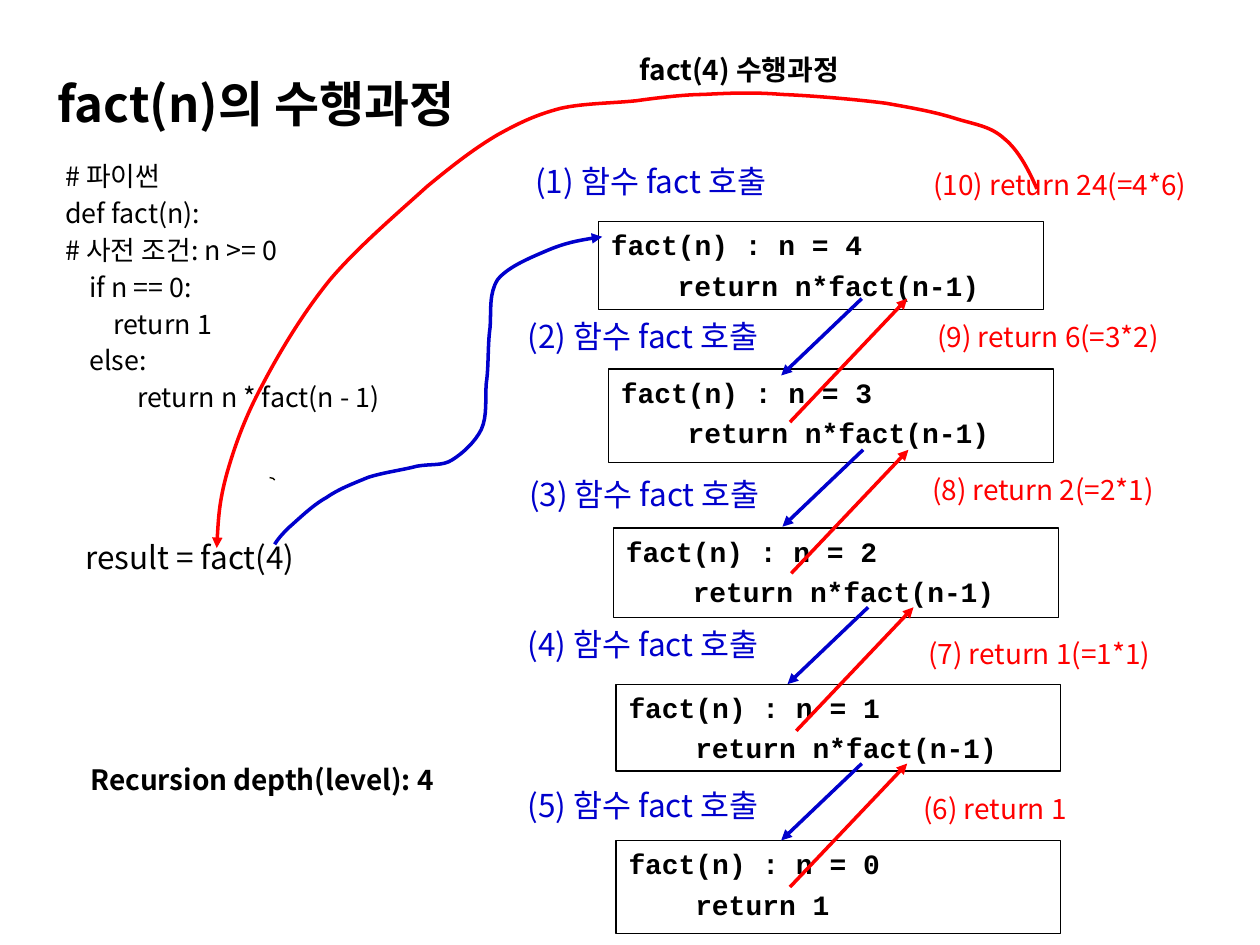
import pptx
from pptx.dml.color import RGBColor
from pptx.enum.shapes import MSO_CONNECTOR, MSO_SHAPE
from pptx.enum.text import MSO_ANCHOR, MSO_AUTO_SIZE, PP_ALIGN
from pptx.oxml.ns import qn
from pptx.util import Inches, Pt

SANS, MONO = "Noto Sans CJK KR", "Courier New"
BLACK, BLUE, RED, YELLOW = "000000", "0000CC", "FF0000", "FFCC00"

# Content: text with indent level
TITLE = "fact(n)의 수행과정"
CODE = [
    ("# 파이썬", 0), ("def fact(n):", 0), ("# 사전 조건: n >= 0", 0),
    ("if n == 0:", 1), ("return 1", 2), ("else:", 1),
    ("return n * fact(n - 1)", 3),
]
# Text, left, top, width, size, bold
NOTES = [
    ("fact(4) 수행과정", 4.98, 0.37, 2.29, 16, True),
    ("result = fact(4)", 0.58, 4.22, 2.29, 18, False),
    ("Recursion depth(level): 4", 0.62, 6, 3.18, 16, True),
]
# Left, top, height of the frame for n = 4, 3, 2, 1, 0
FRAMES = [(4.75, 1.76, 0.7), (4.83, 2.93, 0.74), (4.87, 4.19, 0.71),
          (4.89, 5.43, 0.69), (4.89, 6.67, 0.74)]
# Left, top of the call labels (1) to (5)
CALLS = [(4.15, 1.24), (4.09, 2.47), (4.1, 3.72), (4.09, 4.91), (4.09, 6.19)]
RETURNS = [
    ("(6) return 1", 7.23, 6.23), ("(7) return 1(=1*1)", 7.27, 5),
    ("(8) return 2(=2*1)", 7.3, 3.7), ("(9) return 6(=3*2)", 7.34, 2.49),
    ("(10) return 24(=4*6)", 7.31, 1.28),
]
# Where each call arrow leaves its frame
CALL_STARTS = [(6.84, 2.37), (6.85, 3.57), (6.89, 4.82), (6.84, 6.06)]

# Curves: start, then two control points and an end point per segment
FIRST_CALL = [
    (2.18, 4.32),
    (2.2, 4.29), (2.22, 4.26), (2.29, 4.19),
    (2.36, 4.13), (2.48, 4.01), (2.59, 3.95),
    (2.69, 3.88), (2.8, 3.84), (2.92, 3.79),
    (3.04, 3.75), (3.2, 3.73), (3.31, 3.7),
    (3.43, 3.68), (3.51, 3.7), (3.59, 3.65),
    (3.67, 3.6), (3.77, 3.51), (3.82, 3.41),
    (3.87, 3.3), (3.85, 3.17), (3.86, 3.04),
    (3.88, 2.91), (3.87, 2.74), (3.89, 2.6),
    (3.9, 2.46), (3.88, 2.33), (3.95, 2.22),
    (4.03, 2.12), (4.2, 2.05), (4.34, 1.99),
    (4.48, 1.93), (4.63, 1.9), (4.78, 1.88),
]
LAST_RETURN = [
    (8.23, 1.5),
    (8.16, 1.34), (8.08, 1.19), (7.97, 1.1),
    (7.86, 1), (7.74, 0.99), (7.58, 0.94),
    (7.42, 0.89), (7.26, 0.86), (7.03, 0.82),
    (6.8, 0.79), (6.45, 0.76), (6.21, 0.75),
    (5.97, 0.73), (5.77, 0.74), (5.58, 0.75),
    (5.39, 0.75), (5.05, 0.8), (5.05, 0.8),
    (4.86, 0.82), (4.63, 0.82), (4.45, 0.86),
    (4.26, 0.91), (4.13, 0.97), (3.95, 1.07),
    (3.78, 1.17), (3.62, 1.29), (3.39, 1.48),
    (3.17, 1.68), (2.84, 1.96), (2.62, 2.22),
    (2.4, 2.49), (2.21, 2.81), (2.08, 3.06),
    (1.94, 3.32), (1.86, 3.55), (1.8, 3.76),
    (1.74, 3.98), (1.73, 4.16), (1.72, 4.35),
]
SMALL_ARC = [(2.14, 3.79), (2.16, 3.79), (2.18, 3.8), (2.18, 3.81)]


def color(value):
    return RGBColor.from_string(value)


def write(shape, lines, size, ink=BLACK, font=SANS, bold=False,
          before=4.0, spacing=1.0, step=0.0, anchor=MSO_ANCHOR.TOP):
    """Fill a shape with (text, indent level) lines."""
    frame = shape.text_frame
    frame.word_wrap = True
    frame.auto_size = MSO_AUTO_SIZE.NONE
    frame.vertical_anchor = anchor
    for index, (text, level) in enumerate(lines):
        paragraph = frame.add_paragraph() if index else frame.paragraphs[0]
        paragraph.text = text
        paragraph.alignment = PP_ALIGN.LEFT
        paragraph.space_before = Pt(before)
        paragraph.line_spacing = spacing
        paragraph.font.size = Pt(size)
        paragraph.font.bold = bold
        paragraph.font.name = font
        paragraph.font.color.rgb = color(ink)
        properties = paragraph._p.get_or_add_pPr()
        properties.set("marL", str(Inches(step * level)))
        properties.set("indent", "0")
        east_asian = properties.find(qn("a:defRPr")).makeelement(qn("a:ea"), {"typeface": font})
        properties.find(qn("a:defRPr")).find(qn("a:latin")).addnext(east_asian)


def add_text(slide, lines, left, top, width, height, size, **style):
    box = slide.shapes.add_textbox(Inches(left), Inches(top), Inches(width), Inches(height))
    write(box, lines, size, **style)


def set_line(shape, ink, width, arrow=False):
    shape.line.color.rgb = color(ink)
    shape.line.width = Pt(width)
    if arrow:
        line = shape._element.spPr.find(qn("a:ln"))
        line.append(line.makeelement(qn("a:tailEnd"), {"type": "triangle"}))


def add_arrow(slide, start, end, ink):
    points = [Inches(value) for value in (*start, *end)]
    connector = slide.shapes.add_connector(MSO_CONNECTOR.STRAIGHT, *points)
    set_line(connector, ink, 2, arrow=True)
    properties = connector._element.spPr
    properties.append(properties.makeelement(qn("a:effectLst"), {}))


def add_curve(slide, points, ink, width, fill=None, arrow=True):
    """Build an open outline on its end points, then bend every segment."""
    units = [(round(x * 100), round(y * 100)) for x, y in points]
    anchors = units[::3]
    builder = slide.shapes.build_freeform(*anchors[0], scale=Inches(0.01))
    builder.add_line_segments(anchors[1:], close=False)
    shape = builder.convert_to_shape()
    left, top = (min(values) for values in zip(*anchors))
    for index, segment in enumerate(list(shape._element.iter(qn("a:lnTo")))):
        bend = segment.makeelement(qn("a:cubicBezTo"), {})
        for x, y in units[3 * index + 1:3 * index + 4]:
            bend.append(bend.makeelement(qn("a:pt"), {"x": str(x - left), "y": str(y - top)}))
        segment.getparent().replace(segment, bend)
    if fill:
        shape.fill.solid()
        shape.fill.fore_color.rgb = color(fill)
    else:
        shape.fill.background()
    set_line(shape, ink, width, arrow)
    shape.shadow.inherit = False


def main():
    presentation = pptx.Presentation()
    presentation.slide_width, presentation.slide_height = Inches(10), Inches(7.5)
    slide = presentation.slides.add_slide(presentation.slide_layouts[5])

    # Title, code and notes
    title = slide.shapes.title
    title.left, title.top = Inches(0.36), Inches(0.4)
    title.width, title.height = Inches(3.59), Inches(0.7)
    write(title, [(TITLE, 0)], 28, bold=True, before=0, anchor=MSO_ANCHOR.BOTTOM)
    add_text(slide, CODE, 0.42, 1.25, 3.53, 2.25, 15.3, before=4.5, spacing=0.9, step=0.19)
    for text, left, top, width, size, bold in NOTES:
        add_text(slide, [(text, 0)], left, top, width, 0.46, size, bold=bold)

    # Call frames
    for n, (left, top, height) in zip(range(4, -1, -1), FRAMES):
        frame = slide.shapes.add_shape(MSO_SHAPE.RECTANGLE, Inches(left), Inches(top),
                                       Inches(3.53), Inches(height))
        frame.fill.background()
        set_line(frame, BLACK, 0.75)
        frame.shadow.inherit = False
        result = "return n*fact(n-1)" if n else "return 1"
        write(frame, [(f"fact(n) : n = {n}", 0), (result, 1)], 16,
              font=MONO, bold=True, step=0.53)

    # Call and return labels
    for number, (left, top) in enumerate(CALLS, 1):
        add_text(slide, [(f"({number}) 함수 fact 호출", 0)], left, top, 2.28, 0.46, 18,
                 ink=BLUE, before=4.5)
    for text, left, top in RETURNS:
        add_text(slide, [(text, 0)], left, top, 2.3, 0.46, 16, ink=RED)

    # Arrows between neighbouring frames
    for x, y in CALL_STARTS:
        add_arrow(slide, (x, y), (x - 0.64, y + 0.61), BLUE)
        add_arrow(slide, (x - 0.57, y + 0.98), (x + 0.36, y), RED)

    # First call, final return and the small arc
    add_curve(slide, SMALL_ARC, BLACK, 0.75, fill=YELLOW, arrow=False)
    add_curve(slide, FIRST_CALL, BLUE, 2)
    add_curve(slide, LAST_RETURN, RED, 2)

    presentation.save("out.pptx")


if __name__ == "__main__":
    main()
